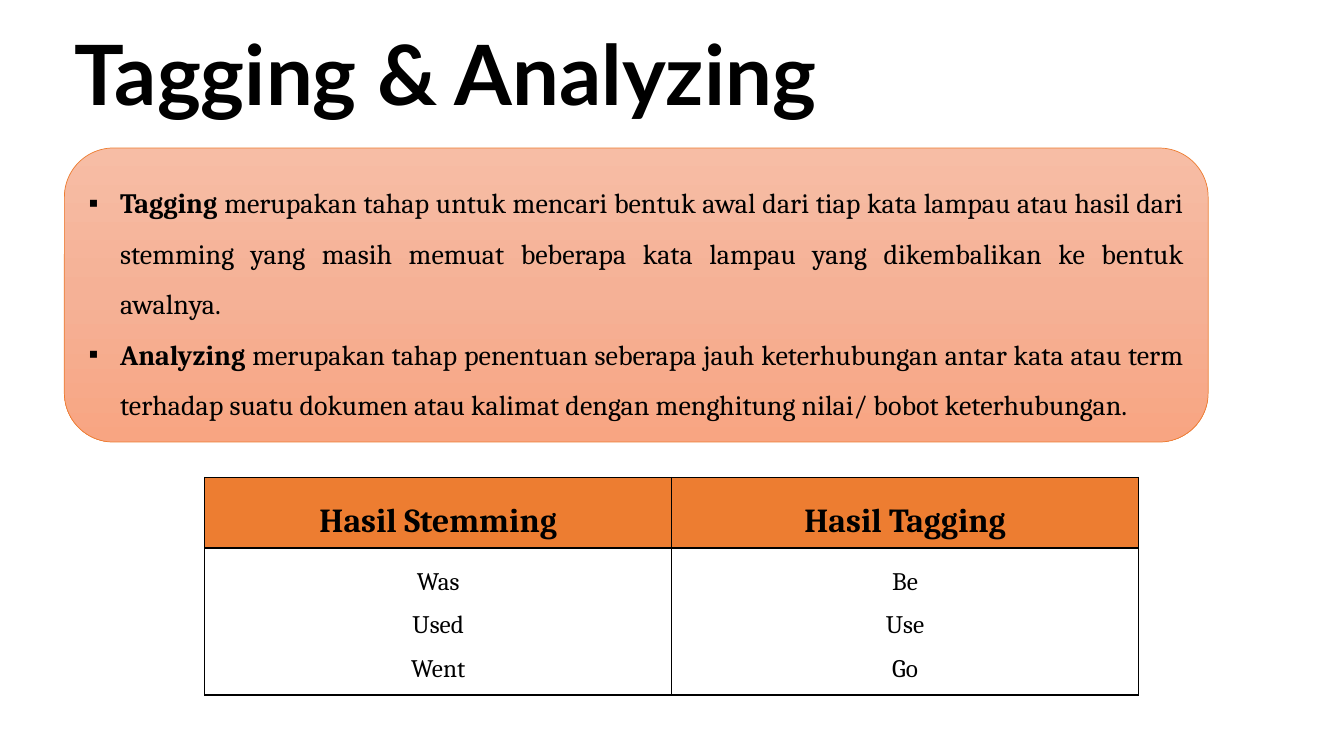
import pptx
import pptx.dml.color
import pptx.enum.shapes
import pptx.enum.text
import pptx.oxml.ns
import pptx.util
from lxml import etree

Pt = pptx.util.Pt
qn = pptx.oxml.ns.qn
ALIGN = pptx.enum.text.PP_ALIGN
MIDDLE = pptx.enum.text.MSO_ANCHOR.MIDDLE
BLACK, ORANGE = "000000", "ED7D31"
SERIF = "Cambria"
POINTS = [
    ("Tagging ", "merupakan tahap untuk mencari bentuk awal dari tiap kata lampau atau hasil dari "
     "stemming yang masih memuat beberapa kata lampau yang dikembalikan ke bentuk awalnya."),
    ("Analyzing ", "merupakan tahap penentuan seberapa jauh keterhubungan antar kata atau term "
     "terhadap suatu dokumen atau kalimat dengan menghitung nilai/ bobot keterhubungan."),
]
COLUMNS = [("Hasil Stemming", ["Was", "Used", "Went"]),
           ("Hasil Tagging", ["Be", "Use", "Go"])]


def color(code):
    return pptx.dml.color.RGBColor.from_string(code)


def add(parent, tag, **attrs):
    return etree.SubElement(parent, qn(tag), attrs)


def style(para, size, face=SERIF, bold=None, align=None, space=1.5):
    para.font.size = Pt(size)
    para.font.name = face
    para.font.bold = bold
    para.font.color.rgb = color(BLACK)
    para.alignment = align
    para.line_spacing = space


def fade(shape, stops):
    shape.fill.gradient()
    shape.fill.gradient_angle = 270
    items = shape._element.spPr.find(qn("a:gradFill")).find(qn("a:gsLst"))
    for item in list(items):
        items.remove(item)
    for place, code in stops:
        add(add(items, "a:gs", pos=str(place * 1000)), "a:srgbClr", val=code)


def bullet(para, indent):
    props = para._p.get_or_add_pPr()
    props.set("marL", str(Pt(indent)))
    props.set("indent", str(-Pt(indent)))
    add(props, "a:buFont", typeface="Arial")
    add(props, "a:buChar", char="▪")


def border(cell):
    props = cell._tc.get_or_add_tcPr()
    for spot, side in enumerate(("a:lnL", "a:lnR", "a:lnT", "a:lnB")):
        line = etree.Element(qn(side), w=str(Pt(1)))
        add(add(line, "a:solidFill"), "a:srgbClr", val=BLACK)
        props.insert(spot, line)


def title(slide, left, top, width, height):
    box = slide.shapes.add_textbox(Pt(left), Pt(top), Pt(width), Pt(height))
    frame = box.text_frame
    frame.word_wrap = True
    frame.vertical_anchor = MIDDLE
    para = frame.paragraphs[0]
    para.text = "Tagging & Analyzing"
    style(para, 59.4, "Lato", True, space=0.9)


def panel(slide, left, top, width, height):
    kind = pptx.enum.shapes.MSO_SHAPE.ROUNDED_RECTANGLE
    shape = slide.shapes.add_shape(kind, Pt(left), Pt(top), Pt(width), Pt(height))
    shape.shadow.inherit = False
    fade(shape, [(0, "F7BDA5"), (50, "F5B196"), (100, "F8A582")])
    shape.line.color.rgb = color(ORANGE)
    shape.line.width = Pt(0.5)
    frame = shape.text_frame
    frame.word_wrap = True
    frame.vertical_anchor = MIDDLE
    for spot, (term, text) in enumerate(POINTS):
        para = frame.add_paragraph() if spot else frame.paragraphs[0]
        style(para, 20, align=ALIGN.JUSTIFY)
        bullet(para, 22.5)
        for words, bold in ((term, True), (text, False)):
            run = para.add_run()
            run.text = words
            run.font.bold = bold


def grid(slide, left, top, width, head, body):
    table = slide.shapes.add_table(2, len(COLUMNS), Pt(left), Pt(top),
                                   Pt(width), Pt(head + body)).table
    table.rows[0].height = Pt(head)
    table.rows[1].height = Pt(body)
    for col, (name, words) in enumerate(COLUMNS):
        parts = [([name], 24, True, ORANGE), (words, 18, False, "FFFFFF")]
        for row, (lines, size, bold, back) in enumerate(parts):
            cell = table.cell(row, col)
            cell.fill.solid()
            cell.fill.fore_color.rgb = color(back)
            border(cell)
            cell.text = "\n".join(lines)
            for para in cell.text_frame.paragraphs:
                style(para, size, bold=bold, align=ALIGN.CENTER)


def main():
    deck = pptx.Presentation()
    deck.slide_width = Pt(960)
    deck.slide_height = Pt(540)
    slide = deck.slides.add_slide(deck.slide_layouts[6])
    title(slide, 46, 31.5, 834, 49)
    panel(slide, 46, 105.75, 817, 210)
    grid(slide, 146.25, 341, 667, 42.5, 105)
    deck.save("out.pptx")


if __name__ == "__main__":
    main()
